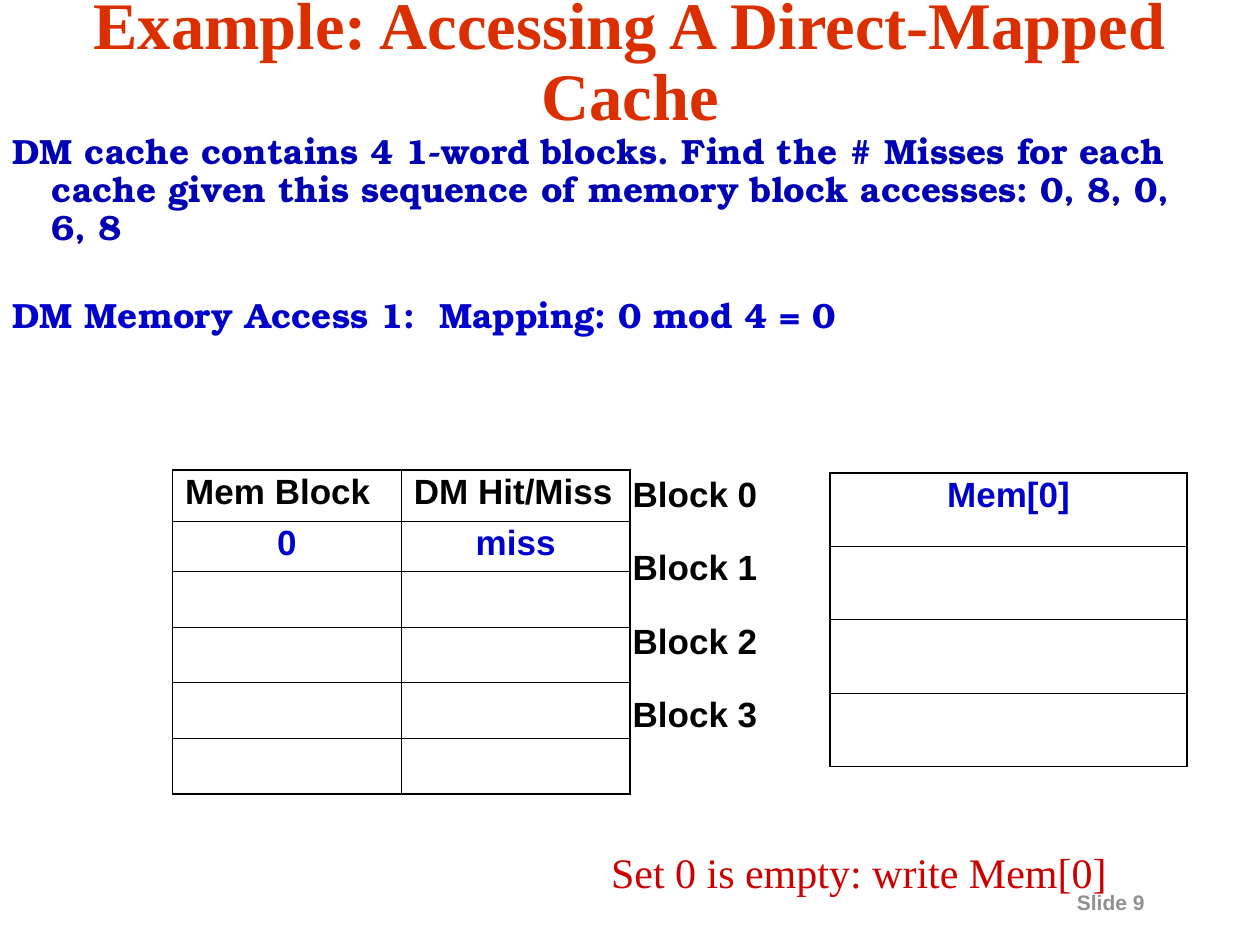
"""Build a slide tracing the first access to a direct-mapped cache."""
from lxml.etree import SubElement
from pptx import Presentation
from pptx.dml.color import RGBColor
from pptx.enum.text import MSO_ANCHOR, MSO_AUTO_SIZE, PP_ALIGN
from pptx.oxml.ns import qn
from pptx.util import Cm, Pt

BLACK = RGBColor(0x00, 0x00, 0x00)
BLUE = RGBColor(0x00, 0x00, 0xCC)
NAVY = RGBColor(0x00, 0x00, 0xB4)
ORANGE = RGBColor(0xDC, 0x2F, 0x00)
RED = RGBColor(0xCC, 0x00, 0x00)
GREY = RGBColor(0x91, 0x91, 0x91)
LEFT, CENTER = PP_ALIGN.LEFT, PP_ALIGN.CENTER
THICK, THIN = 1.08, 0.45
NO_STYLE = "{2D5ABB26-0587-4C30-8999-92F81FD0307C}"

TITLE = "Example: Accessing A Direct-Mapped Cache"
BODY = [
    ("DM cache contains 4 1-word blocks. Find the # Misses for each cache "
     "given this sequence of memory block accesses: 0, 8, 0, 6, 8", NAVY, 0),
    ("DM Memory Access 1:  Mapping: 0 mod 4 = 0", BLUE, 29),
]
CACHE = [
    [("Block 0", LEFT, BLACK), ("Mem[0]", CENTER, BLUE)],
    [("Block 1", LEFT, BLACK), None],
    [("Block 2", LEFT, BLACK), None],
    [("Block 3", LEFT, BLACK), None],
]
ACCESSES = [
    [("Mem Block", LEFT, BLACK), ("DM Hit/Miss", LEFT, BLACK)],
    [("0", CENTER, BLUE), ("miss", CENTER, BLUE)],
] + [[None, None]] * 4
NOTE = "Set 0 is empty: write Mem[0]"
NUMBER = "Slide 9"


def put(p, text, align=LEFT, spacing=0.9, before=0, **font):
    """Write one formatted run into a paragraph."""
    p.alignment, p.line_spacing, p.space_before = align, spacing, Pt(before)
    r = p.add_run()
    r.text = text
    color = font.pop("color")
    for name, value in font.items():
        setattr(r.font, name, value)
    r.font.color.rgb = color


def place(sp, left, top, width, height):
    """Position a text shape and return its wrapped text frame."""
    sp.left, sp.top, sp.width, sp.height = map(Cm, (left, top, width, height))
    tf = sp.text_frame
    tf.word_wrap, tf.auto_size = True, MSO_AUTO_SIZE.NONE
    return tf


def add_border(cell, side, width):
    """Draw one black edge of a table cell."""
    ln = SubElement(cell._tc.get_or_add_tcPr(), qn(f"a:ln{side}"), w=str(Pt(width)))
    fill = SubElement(ln, qn("a:solidFill"))
    SubElement(fill, qn("a:srgbClr"), val=str(BLACK))


def add_grid(s, rows, left, top, widths, heights, first_boxed):
    """Add a table whose boxed columns have a thick frame and thin inner lines."""
    frame = s.shapes.add_table(len(rows), len(widths), Cm(left), Cm(top),
                               Cm(sum(widths)), Cm(sum(heights)))
    table = frame.table
    table.first_row = table.horz_banding = False
    table._tbl.tblPr.find(qn("a:tableStyleId")).text = NO_STYLE
    for column, width in zip(table.columns, widths):
        column.width = Cm(width)
    for i, (row, height) in enumerate(zip(rows, heights)):
        table.rows[i].height = Cm(height)
        for j, content in enumerate(row):
            cell = table.cell(i, j)
            if j >= first_boxed:
                edges = {"L": j == first_boxed, "R": j == len(row) - 1,
                         "T": i == 0, "B": i == len(rows) - 1}
                for side, outer in edges.items():
                    add_border(cell, side, THICK if outer else THIN)
            elif j == first_boxed - 1:
                add_border(cell, "R", THICK)
            cell.fill.background()
            if content:
                text, align, color = content
                put(cell.text_frame.paragraphs[0], text, align, name="Arial",
                    size=Pt(20), bold=True, color=color)


def main():
    prs = Presentation()
    prs.slide_width, prs.slide_height = Cm(25.4), Cm(19.05)
    s = prs.slides.add_slide(prs.slide_layouts[1])

    tf = place(s.shapes.title, 0, 0.43, 25.4, 1.7)
    tf.vertical_anchor = MSO_ANCHOR.MIDDLE
    put(tf.paragraphs[0], TITLE, CENTER, name="Times New Roman", size=Pt(38),
        bold=True, color=ORANGE)

    tf = place(s.placeholders[1], 0, 2.58, 24.33, 6.95)
    tf.vertical_anchor = MSO_ANCHOR.TOP
    for i, (text, color, before) in enumerate(BODY):
        p = tf.add_paragraph() if i else tf.paragraphs[0]
        pPr = p._p.get_or_add_pPr()
        pPr.set("marL", str(Cm(0.79)))
        pPr.set("indent", str(Cm(-0.79)))
        SubElement(pPr, qn("a:buNone"))
        put(p, text, before=before, name="TeX Gyre Bonum", size=Pt(20),
            bold=True, color=color)

    add_grid(s, CACHE, 12.5, 9.53, [4.23, 7.2], [1.48] * 4, 1)
    add_grid(s, ACCESSES, 3.48, 9.48, [4.61] * 2, [1.02] * 2 + [1.12] * 4, 0)

    tf = place(s.shapes.add_textbox(0, 0, 0, 0), 12.07, 16.94, 12.27, 1.27)
    put(tf.paragraphs[0], NOTE, spacing=1.0, name="Times New Roman",
        size=Pt(24), color=RED)
    tf = place(s.shapes.add_textbox(0, 0, 0, 0), 21.46, 17.8, 3.68, 0.76)
    put(tf.paragraphs[0], NUMBER, spacing=1.0, name="Arial", size=Pt(12),
        bold=True, color=GREY)

    prs.save("out.pptx")


if __name__ == "__main__":
    main()
